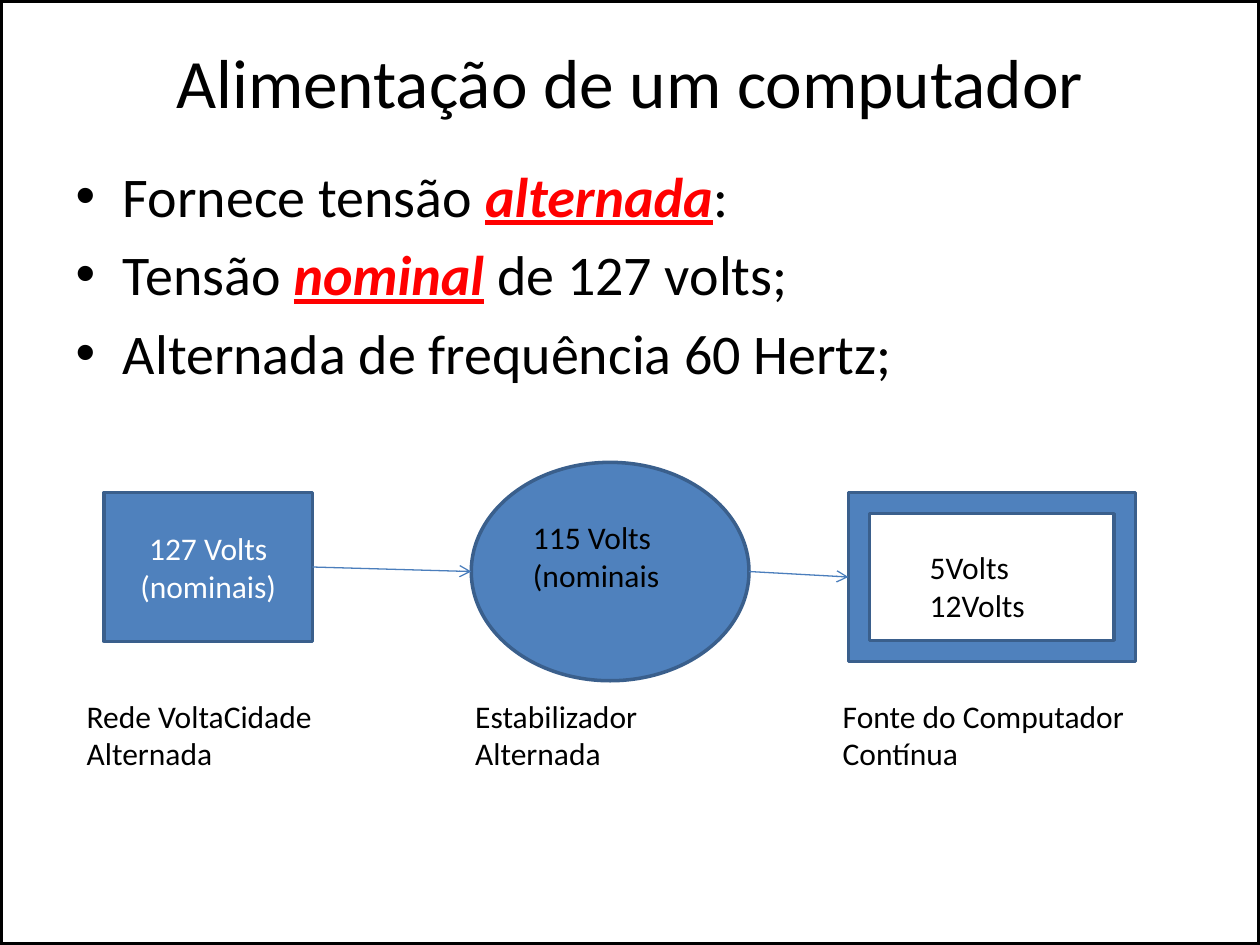
from lxml import etree
from pptx import Presentation
from pptx.dml.color import RGBColor
from pptx.enum.shapes import MSO_CONNECTOR, MSO_SHAPE
from pptx.enum.text import MSO_ANCHOR, PP_ALIGN
from pptx.oxml.ns import qn
from pptx.util import Pt

RECT, OVAL, FRAME = MSO_SHAPE.RECTANGLE, MSO_SHAPE.OVAL, MSO_SHAPE.FRAME
STRAIGHT = MSO_CONNECTOR.STRAIGHT
TOP, MIDDLE = MSO_ANCHOR.TOP, MSO_ANCHOR.MIDDLE
LEFT, CENTER = PP_ALIGN.LEFT, PP_ALIGN.CENTER

FONT = "Calibri"
BLACK, WHITE, RED = "000000", "FFFFFF", "FF0000"
BLUE, DARK_BLUE, ARROW_BLUE = "4F81BD", "3A5F8C", "4B7EBC"

# Each bullet: text before, emphasised word, text after
BULLETS = [
    ("Fornece tensão ", "alternada", ":"),
    ("Tensão ", "nominal", " de 127 volts;"),
    ("Alternada de frequência 60 Hertz;", "", ""),
]
CAPTIONS = [
    ("Rede VoltaCidade", "Estabilizador", "Fonte do Computador"),
    ("Alternada", "Alternada", "Contínua"),
]
CAPTION_TABS = (222, 432)


def rgb(color):
    return RGBColor.from_string(color)


def style_font(font, size, color):
    font.name = FONT
    font.size = Pt(size)
    font.color.rgb = rgb(color)


def place(s, left, top, width, height):
    s.left, s.top, s.width, s.height = Pt(left), Pt(top), Pt(width), Pt(height)


def write_lines(s, lines, color=BLACK, align=LEFT, anchor=TOP):
    tf = s.text_frame
    tf.word_wrap = True
    tf.vertical_anchor = anchor
    tf.text = "\n".join(lines)
    for p in tf.paragraphs:
        p.alignment = align
        style_font(p.font, 18, color)


def add_title(slide, text):
    s = slide.shapes.title
    place(s, 36, 21.6, 648, 49.7)
    tf = s.text_frame
    tf.text = text
    tf.vertical_anchor = MIDDLE
    p = tf.paragraphs[0]
    p.alignment = CENTER
    style_font(p.runs[0].font, 39.6, BLACK)


def add_bullets(slide):
    s = slide.placeholders[1]
    place(s, 36, 88.5, 648, 356.5)
    tf = s.text_frame
    for i, parts in enumerate(BULLETS):
        p = tf.paragraphs[0] if i == 0 else tf.add_paragraph()
        for j, text in enumerate(parts):
            if not text:
                continue
            r = p.add_run()
            r.text = text
            emphasis = j == 1
            style_font(r.font, 32, RED if emphasis else BLACK)
            if emphasis:
                r.font.bold = r.font.italic = r.font.underline = True


def add_block(slide, kind, box, fill=BLUE, line=DARK_BLUE, weight=2):
    s = slide.shapes.add_shape(kind, *map(Pt, box))
    s.shadow.inherit = False
    if fill:
        s.fill.solid()
        s.fill.fore_color.rgb = rgb(fill)
    else:
        s.fill.background()
    s.line.color.rgb = rgb(line)
    s.line.width = Pt(weight)
    return s


def add_label(slide, box, lines):
    s = slide.shapes.add_textbox(*map(Pt, box))
    write_lines(s, lines)
    return s


def add_arrow(slide, source, target):
    """Join the right middle of source to the left middle of target."""
    s = slide.shapes.add_connector(
        STRAIGHT,
        source.left + source.width, source.top + source.height // 2,
        target.left, target.top + target.height // 2)
    s.line.color.rgb = rgb(ARROW_BLUE)
    s.line.width = Pt(0.75)
    etree.SubElement(s.line._get_or_add_ln(), qn("a:tailEnd"), type="arrow")
    etree.SubElement(s._element.spPr, qn("a:effectLst"))


def add_captions(slide):
    s = add_label(slide, (42.5, 394.5, 618, 94.5),
                  ["\t".join(row) for row in CAPTIONS])
    for p in s.text_frame.paragraphs:
        tabs = etree.Element(qn("a:tabLst"))
        for position in CAPTION_TABS:
            etree.SubElement(tabs, qn("a:tab"), pos=str(Pt(position)), algn="l")
        p._p.get_or_add_pPr().insert(0, tabs)


def main():
    prs = Presentation()
    prs.slide_width, prs.slide_height = Pt(720), Pt(540)
    slide = prs.slides.add_slide(prs.slide_layouts[1])

    add_block(slide, RECT, (0, 0, 720, 540), fill=None, line=BLACK, weight=3)
    add_title(slide, "Alimentação de um computador")
    add_bullets(slide)

    mains = add_block(slide, RECT, (59.5, 281.5, 119, 85))
    write_lines(mains, ["127 Volts", "(nominais)"], WHITE, CENTER, MIDDLE)
    stabilizer = add_block(slide, OVAL, (269.3, 264.2, 158.7, 124.8))
    add_label(slide, (297.5, 292.3, 108, 51), ["115 Volts (nominais"])
    supply = add_block(slide, FRAME, (484.8, 281.5, 164, 96.5))
    add_label(slide, (524.2, 309.6, 102, 51), ["5Volts", "12Volts"])

    add_arrow(slide, mains, stabilizer)
    add_arrow(slide, stabilizer, supply)
    add_captions(slide)

    prs.save("out.pptx")


if __name__ == "__main__":
    main()
